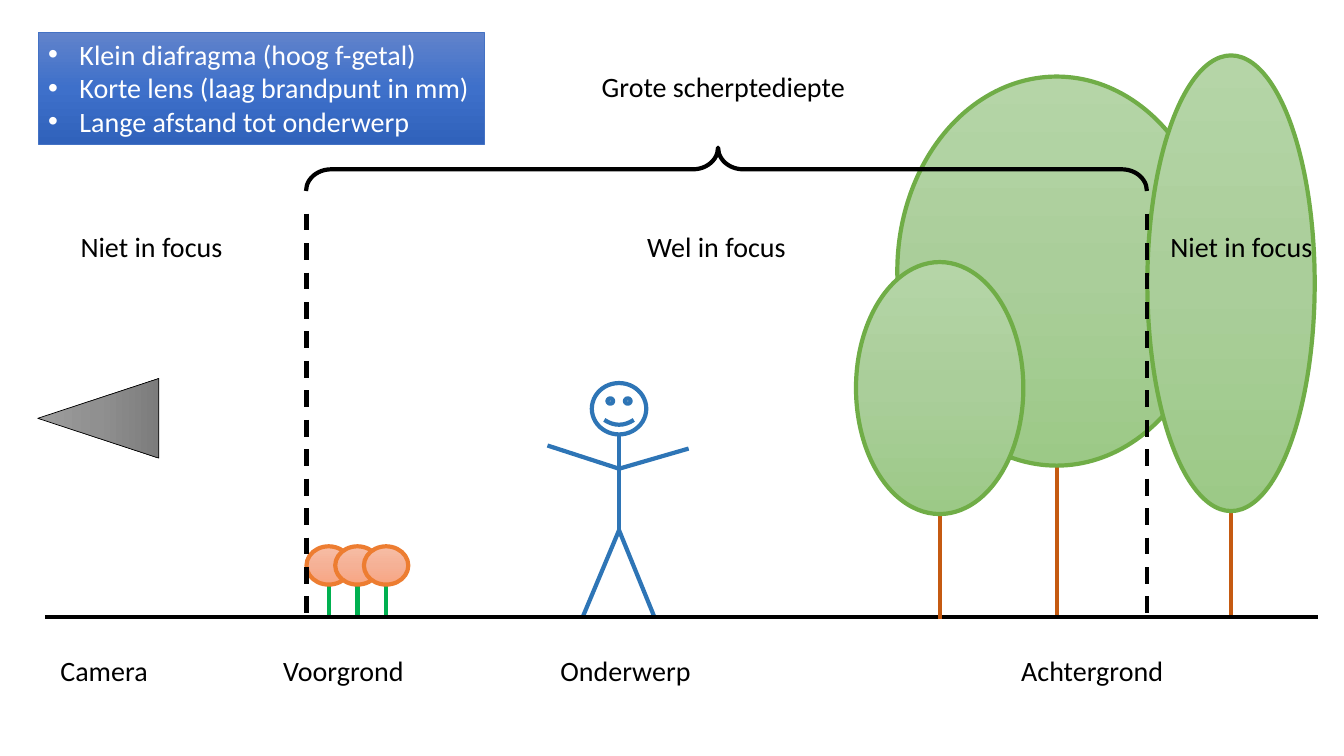
from dataclasses import dataclass
from typing import NamedTuple

from lxml import etree
from copy import deepcopy
from pptx import Presentation
from pptx.dml.color import RGBColor
from pptx.enum.dml import MSO_LINE
from pptx.enum.shapes import MSO_CONNECTOR, MSO_SHAPE
from pptx.enum.text import MSO_ANCHOR, MSO_AUTO_SIZE, PP_ALIGN
from pptx.oxml.ns import qn
from pptx.util import Inches, Pt

OVAL, RECT = MSO_SHAPE.OVAL, MSO_SHAPE.RECTANGLE
TRIANGLE, BRACE = MSO_SHAPE.ISOSCELES_TRIANGLE, MSO_SHAPE.LEFT_BRACE
SMILEY = MSO_SHAPE.SMILEY_FACE
STRAIGHT, DASH = MSO_CONNECTOR.STRAIGHT, MSO_LINE.DASH
LEFT, TOP, FIT = PP_ALIGN.LEFT, MSO_ANCHOR.TOP, MSO_AUTO_SIZE.SHAPE_TO_FIT_TEXT

COLS, ROWS = 133.3, 75
CELL = Inches(0.1)


@dataclass(frozen=True)
class Theme:
    font: str = "Calibri"
    size: float = 20
    thick: float = 3
    thin: float = 0.5
    black: str = "000000"
    white: str = "FFFFFF"
    person: str = "2E75B6"
    leaf: str = "70AD47"
    trunk: str = "C55A11"
    stem: str = "00B050"
    petal: str = "ED7D31"
    frame: str = "4472C4"
    gray: tuple = ("9D9D9D", "909090", "7C7C7C")
    green: tuple = ("B5D5A7", "AACE9A", "9CC987")
    orange: tuple = ("F7BDA5", "F5B196", "F8A582")
    blue: tuple = ("6183CB", "3E70CA", "3062BB")


class Box(NamedTuple):
    """A place on the grid, in columns and rows."""
    x: float
    y: float
    w: float
    h: float

    @property
    def mid(self) -> float:
        return self.x + self.w / 2

    @property
    def base(self) -> float:
        return self.y + self.h


class Plant(NamedTuple):
    crown: Box
    foot: float


class Label(NamedTuple):
    text: str
    x: float
    y: float
    w: float


THEME = Theme()
GROUND = 61.2
NAMES, ZONES, LINE = 64.3, 22.3, 4.4
NEAR, FAR = 30.4, 113.8
BACK = [Plant(Box(89, 7.6, 31.6, 38.6), GROUND),
        Plant(Box(113.8, 5.5, 16.6, 45.2), GROUND)]
FRONT = Plant(Box(84.9, 26, 16.6, 25), 61.4)
FLOWERS = [Plant(Box(NEAR + 2.85 * i, 54.2, 4.4, 3.8), 61.1) for i in range(3)]
LABELS = [
    Label("Camera", 5, NAMES, 10.8),
    Label("Voorgrond", 27.1, NAMES, 14.1),
    Label("Onderwerp", 54.6, NAMES, 15.1),
    Label("Achtergrond", 100.3, NAMES, 16.2),
    Label("Niet in focus", 7, ZONES, 16.2),
    Label("Wel in focus", 63.2, ZONES, 15.9),
    Label("Niet in focus", 115.1, ZONES, 16.2),
    Label("Grote scherptediepte", 58.7, 6.4, 26.6),
]
POINTS = ["Klein diafragma (hoog f-getal)",
          "Korte lens (laag brandpunt in mm)",
          "Lange afstand tot onderwerp"]


def cells(*counts: float) -> list[int]:
    return [round(n * CELL) for n in counts]


def color(code: str) -> RGBColor:
    return RGBColor.from_string(code)


def shade(shape, tones: tuple) -> None:
    """Fill with evenly spaced tones, from top to bottom."""
    fill = shape.fill
    fill.gradient()
    fill.gradient_angle = 270
    stops = shape._element.spPr.find(qn("a:gradFill")).find(qn("a:gsLst"))
    while len(stops) < len(tones):
        stops.append(deepcopy(stops[0]))
    for i, (stop, tone) in enumerate(zip(fill.gradient_stops, tones)):
        stop.color.rgb = color(tone)
        stop.position = i / (len(tones) - 1)


def draw(shapes, kind, box: Box, edge: str, tones: tuple = (),
         width: float = THEME.thick, turn: float = 0):
    """Add a shape; no tones means no fill, one tone a solid fill."""
    shape = shapes.add_shape(kind, *cells(*box))
    shape.shadow.inherit = False
    shape.rotation = turn
    if len(tones) > 1:
        shade(shape, tones)
    elif tones:
        shape.fill.solid()
        shape.fill.fore_color.rgb = color(tones[0])
    else:
        shape.fill.background()
    shape.line.color.rgb = color(edge)
    shape.line.width = Pt(width)
    return shape


def rule(shapes, start: tuple, end: tuple, tone: str, dash=None) -> None:
    line = shapes.add_connector(STRAIGHT, *cells(*start, *end))
    line.line.color.rgb = color(tone)
    line.line.width = Pt(THEME.thick)
    if dash:
        line.line.dash_style = dash
    etree.SubElement(line._element.spPr, qn("a:effectLst"))


def write(shape, lines: list[str], tone: str, bullet: str = "") -> None:
    frame = shape.text_frame
    frame.word_wrap = False
    frame.auto_size = FIT
    frame.vertical_anchor = TOP
    for i, text in enumerate(lines):
        para = frame.add_paragraph() if i else frame.paragraphs[0]
        para.alignment = LEFT
        run = para.add_run()
        run.text = text
        run.font.name = THEME.font
        run.font.size = Pt(THEME.size)
        run.font.color.rgb = color(tone)
        if bullet:
            props = para._p.get_or_add_pPr()
            indent = Inches(0.31)
            props.set("marL", str(indent))
            props.set("indent", str(-indent))
            etree.SubElement(props, qn("a:buFont"), typeface="Arial")
            etree.SubElement(props, qn("a:buChar"), char=bullet)


def plant(shapes, item: Plant, edge: str, tones: tuple, stalk: str) -> None:
    crown = item.crown
    rule(shapes, (crown.mid, crown.base), (crown.mid, item.foot), stalk)
    draw(shapes, OVAL, crown, edge, tones)


def tree(shapes, item: Plant) -> None:
    plant(shapes, item, THEME.leaf, THEME.green, THEME.trunk)


def person(shapes) -> None:
    parts = shapes.add_group_shape().shapes
    head = Box(58.7, 38, 5.4, 5.1)
    neck, chest, hip = [(head.mid, y) for y in (head.base, 46.5, 52.6)]
    draw(parts, SMILEY, head, THEME.person, (THEME.white,))
    for start, end in [(neck, hip), (hip, (57.8, GROUND)), (hip, (64.9, GROUND)),
                       (chest, (68.3, 44.5)), (chest, (54.3, 44.2))]:
        rule(parts, start, end, THEME.person)


def limit(shapes, x: float) -> None:
    """Mark one end of the zone that is in focus."""
    rule(shapes, (x, 21.2), (x, GROUND), THEME.black, DASH)


def main() -> None:
    deck = Presentation()
    deck.slide_width, deck.slide_height = cells(COLS, ROWS)
    shapes = deck.slides.add_slide(deck.slide_layouts[6]).shapes

    person(shapes)
    draw(shapes, TRIANGLE, Box(5.8, 35.5, 7.9, 12), THEME.black, THEME.gray,
         THEME.thin, 270)
    for item in BACK:
        tree(shapes, item)
    limit(shapes, FAR)
    brace = draw(shapes, BRACE, Box(69.9, -24.9, 4.3, FAR - NEAR), THEME.black,
                 turn=90)
    brace.adjustments[0], brace.adjustments[1] = 0.58, 0.51
    for label in LABELS:
        place = cells(label.x, label.y, label.w, LINE)
        write(shapes.add_textbox(*place), [label.text], THEME.black)
    for item in FLOWERS:
        plant(shapes, item, THEME.petal, THEME.orange, THEME.stem)
    rule(shapes, (4.5, GROUND), (130.7, GROUND), THEME.black)
    tree(shapes, FRONT)
    limit(shapes, NEAR)
    panel = draw(shapes, RECT, Box(3.8, 3.2, 44.2, 11.1), THEME.frame,
                 THEME.blue, THEME.thin)
    write(panel, POINTS, THEME.white, "•")
    deck.save("out.pptx")


if __name__ == "__main__":
    main()
